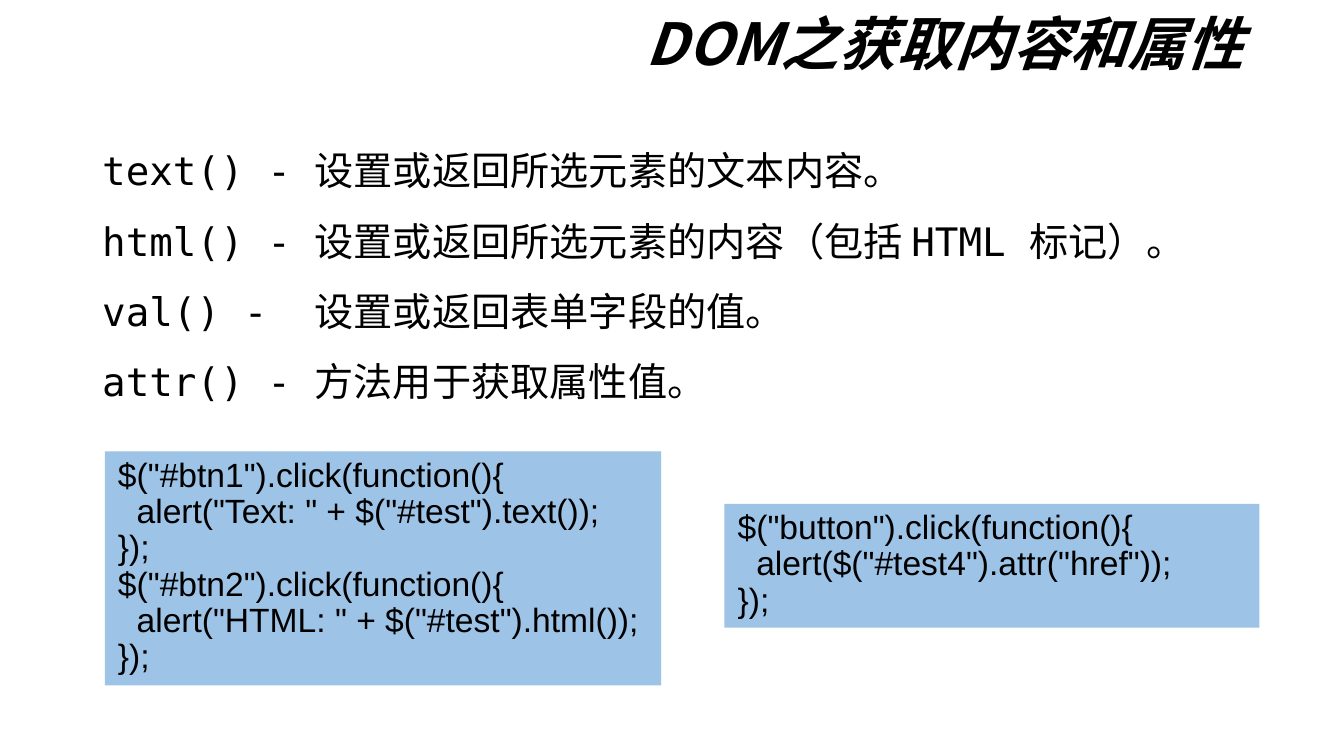
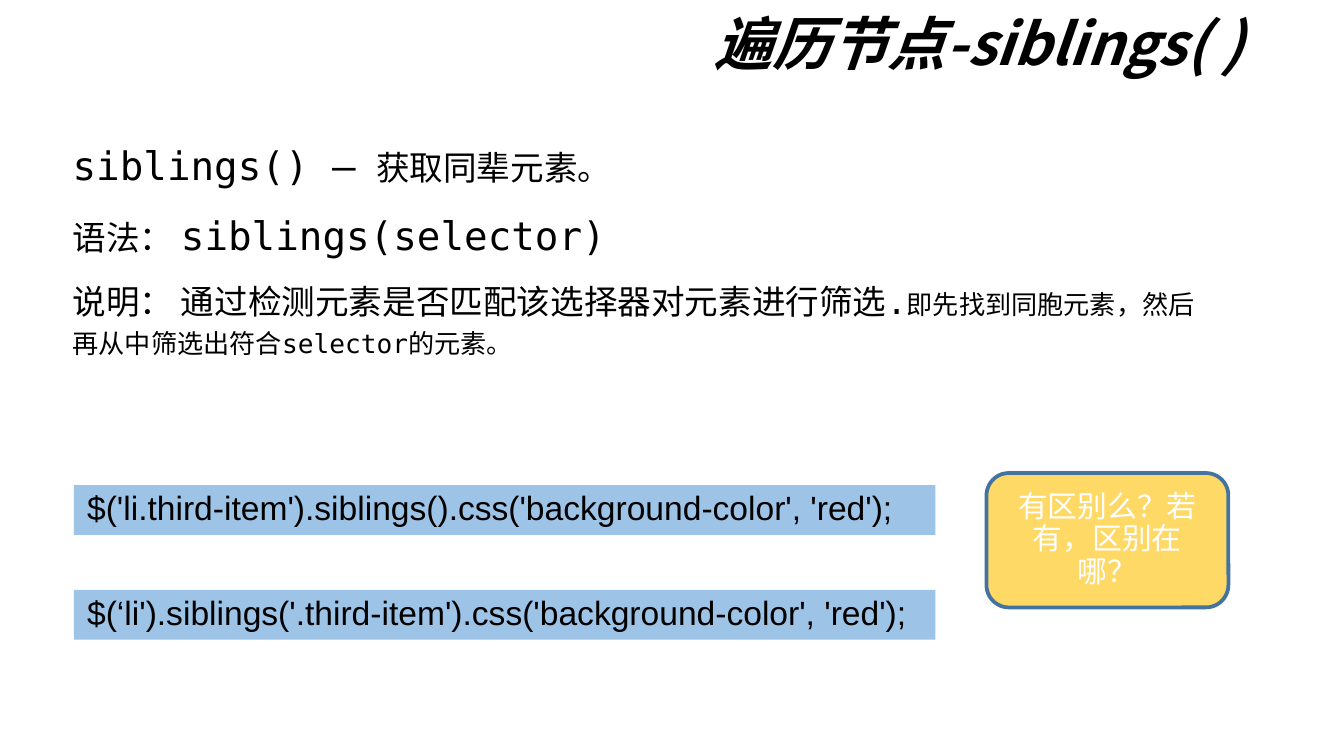
from dataclasses import dataclass

from lxml import etree
from pptx import Presentation
from pptx.dml.color import RGBColor
from pptx.enum.shapes import MSO_SHAPE
from pptx.enum.text import MSO_ANCHOR, MSO_AUTO_SIZE, PP_ALIGN
from pptx.oxml.ns import qn
from pptx.util import Inches, Pt

RECT, ROUND_RECT = MSO_SHAPE.RECTANGLE, MSO_SHAPE.ROUNDED_RECTANGLE
TOP, MIDDLE = MSO_ANCHOR.TOP, MSO_ANCHOR.MIDDLE
LEFT, CENTER, RIGHT = PP_ALIGN.LEFT, PP_ALIGN.CENTER, PP_ALIGN.RIGHT
NO_FIT = MSO_AUTO_SIZE.NONE
TITLE_ONLY = 5


@dataclass(frozen=True)
class Theme:
    ink: str = "000000"
    white: str = "FFFFFF"
    code_fill: str = "9DC3E6"
    note_fill: str = "FFD966"
    note_line: str = "43739E"
    title_font: str = "Noto Sans CJK JP"
    body_font: str = "DejaVu Sans Mono"
    code_font: str = "Arial"
    title_size: int = 31
    large: int = 21
    medium: int = 18
    note_size: int = 16
    small: int = 14


THEME = Theme()
TITLE_BOX = (1.38, 0, 7.94, 0.69)
TIGHT = (0.07, 0.04)
NORMAL = (0.1, 0.05)


def write(tf, paragraphs, font, color=THEME.ink, align=LEFT, anchor=TOP,
          spacing=0.9, before=0, margins=NORMAL, bold=False, italic=False):
    """Fill a text frame; each paragraph is a list of (text, size) runs."""
    tf.word_wrap = True
    tf.auto_size = NO_FIT
    tf.vertical_anchor = anchor
    tf.margin_left = tf.margin_right = Inches(margins[0])
    tf.margin_top = tf.margin_bottom = Inches(margins[1])
    for i, runs in enumerate(paragraphs):
        p = tf.paragraphs[0] if i == 0 else tf.add_paragraph()
        p.alignment = align
        p.line_spacing = spacing
        p.space_before = Pt(before)
        p._p.get_or_add_pPr().set("hangingPunct", "0")
        for text, size in runs:
            for n, line in enumerate(text.split("\n")):
                if n:
                    p.add_line_break()
                r = p.add_run()
                r.text = line
                r.font.size = Pt(size)
                r.font.name = font
                r.font.bold = bold
                r.font.italic = italic
                r.font.color.rgb = RGBColor.from_string(color)
                ea = etree.SubElement(r.font._element, qn("a:ea"))
                ea.set("typeface", THEME.title_font)


def add_titled_slide(prs, title):
    s = prs.slides.add_slide(prs.slide_layouts[TITLE_ONLY])
    sp = s.shapes.title
    sp.left, sp.top, sp.width, sp.height = map(Inches, TITLE_BOX)
    write(sp.text_frame, [[(title, THEME.title_size)]], THEME.title_font,
          align=RIGHT, anchor=MIDDLE, margins=TIGHT, bold=True, italic=True)
    return s


def add_body(s, box, paragraphs):
    sp = s.shapes.add_textbox(*map(Inches, box))
    write(sp.text_frame, paragraphs, THEME.body_font,
          spacing=1.2, before=7.5, margins=TIGHT)


def add_panel(s, kind, box, fill, line=None):
    sp = s.shapes.add_shape(kind, *map(Inches, box))
    sp.shadow.inherit = False
    sp.fill.solid()
    sp.fill.fore_color.rgb = RGBColor.from_string(fill)
    if line:
        sp.line.color.rgb = RGBColor.from_string(line)
        sp.line.width = Pt(2)
    else:
        sp.line.fill.background()
    return sp


def add_code(s, box, code):
    sp = add_panel(s, RECT, box, THEME.code_fill)
    write(sp.text_frame, [[(code, THEME.medium)]], THEME.code_font)


def add_note(s, box, text):
    sp = add_panel(s, ROUND_RECT, box, THEME.note_fill, THEME.note_line)
    write(sp.text_frame, [[(text, THEME.note_size)]], THEME.body_font,
          color=THEME.white, align=CENTER, anchor=MIDDLE)


def build_content_slide(prs):
    s = add_titled_slide(prs, "DOM之获取内容和属性")
    methods = [
        "text() - 设置或返回所选元素的文本内容。",
        "html() - 设置或返回所选元素的内容（包括 HTML 标记）。",
        "val() -  设置或返回表单字段的值。",
        "attr() - 方法用于获取属性值。",
    ]
    add_body(s, (0.69, 0.98, 8.62, 2.38), [[(m, THEME.large)] for m in methods])
    add_code(s, (5.39, 3.75, 3.98, 0.92), """$("button").click(function(){
  alert($("#test4").attr("href"));
});""")
    add_code(s, (0.78, 3.36, 4.14, 1.74), """$("#btn1").click(function(){
  alert("Text: " + $("#test").text());
});
$("#btn2").click(function(){
  alert("HTML: " + $("#test").html());
});""")


def build_siblings_slide(prs):
    s = add_titled_slide(prs, "遍历节点-siblings( )")
    add_body(s, (0.47, 0.94, 8.59, 1.88), [
        [("siblings() –", THEME.large), (" 获取同辈元素。", THEME.medium)],
        [("语法： ", THEME.medium), ("siblings(selector)", THEME.large)],
        [("说明： 通过检测元素是否匹配该选择器对元素进行筛选.", THEME.medium),
         ("即先找到同胞元素，然后再从中筛选出符合selector的元素。", THEME.small)],
    ])
    examples = [
        "$('li.third-item').siblings().css('background-color', 'red');",
        "$(‘li').siblings('.third-item').css('background-color', 'red');",
    ]
    for i, code in enumerate(examples):
        add_code(s, (0.55, 3.61 + 0.78 * i, 6.41, 0.37), code)
    add_note(s, (7.34, 3.52, 1.8, 1), "有区别么？若有，区别在哪？")


def main():
    prs = Presentation()
    prs.slide_width = Inches(10)
    prs.slide_height = prs.slide_width * 9 // 16
    build_content_slide(prs)
    build_siblings_slide(prs)
    prs.save("out.pptx")


if __name__ == "__main__":
    main()
